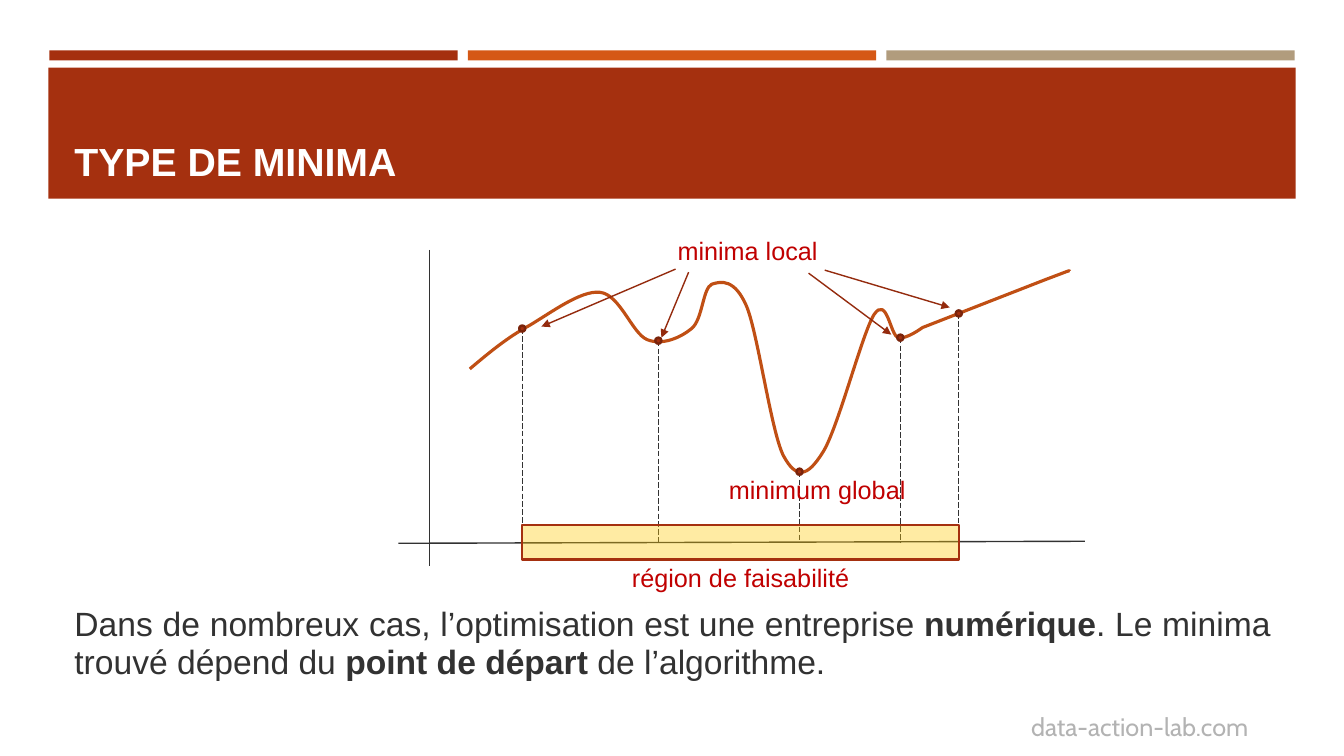
from lxml import etree
from pptx import Presentation
from pptx.dml.color import RGBColor
from pptx.enum.dml import MSO_LINE
from pptx.enum.shapes import MSO_CONNECTOR, MSO_SHAPE
from pptx.enum.text import MSO_ANCHOR, PP_ALIGN
from pptx.oxml.ns import qn
from pptx.util import Inches, Pt

RECTANGLE, OVAL = MSO_SHAPE.RECTANGLE, MSO_SHAPE.OVAL
STRAIGHT, LONG_DASH = MSO_CONNECTOR.STRAIGHT, MSO_LINE.LONG_DASH
TOP, BOTTOM = MSO_ANCHOR.TOP, MSO_ANCHOR.BOTTOM
LEFT, CENTER, RIGHT, JUSTIFY = PP_ALIGN.LEFT, PP_ALIGN.CENTER, PP_ALIGN.RIGHT, PP_ALIGN.JUSTIFY

RUST, DARK_RUST, ARROW_RUST, CURVE_ORANGE = "A5300F", "7A240B", "942B0E", "C04F14"
INK, RED, GOLD, WHITE, GREY = "323232", "C00000", "FFCA08", "FFFFFF", "B3B3B3"

BAR_COLORS = [RUST, "D55816", "B19C7D"]
BAR_LEFT, BAR_WIDTH, BAR_GAP = 0.49, 4.05, 0.1
TITLE = [("TYPE DE MINIMA", True)]
FOOTER = [("data-action-lab.com", False)]
BODY = [
    ("Dans de nombreux cas, l’optimisation est une entreprise ", False),
    ("numérique", True),
    (". Le minima trouvé dépend du ", False),
    ("point de départ", True),
    (" de l’algorithme.", False),
]
LABELS = [
    ("minima local", 5.61, 2.29),
    ("minimum global", 6.3, 4.66),
    ("région de faisabilité", 5.54, 5.53),
]
MINIMA = [(5.18, 3.26), (6.53, 3.38), (7.93, 4.68), (8.93, 3.35), (9.51, 3.11)]
ARROWS = [
    ((6.7, 2.67), (5.37, 3.24)),
    ((6.83, 2.7), (6.56, 3.35)),
    ((8.02, 2.71), (8.84, 3.32)),
    ((8.18, 2.68), (9.42, 3.05)),
]
AXES = [((4.26, 2.48), (4.26, 5.62)), ((10.76, 5.37), (3.95, 5.39))]
AXIS_Y, BAND_TOP, BAND_HEIGHT, DOT = 5.39, 5.21, 0.34, 0.06
CURVE_START = (4.66, 3.66)
CURVE = [
    [(4.85, 3.5), (5.03, 3.35), (5.25, 3.23)],
    [(5.47, 3.1), (5.76, 2.88), (5.95, 2.9)],
    [(6.15, 2.92), (6.27, 3.31), (6.42, 3.37)],
    [(6.57, 3.43), (6.75, 3.35), (6.86, 3.26)],
    [(6.97, 3.17), (6.97, 2.86), (7.06, 2.82)],
    [(7.15, 2.79), (7.29, 2.76), (7.41, 3.05)],
    [(7.52, 3.33), (7.65, 4.28), (7.77, 4.52)],
    [(7.9, 4.76), (8.01, 4.73), (8.16, 4.49)],
    [(8.31, 4.26), (8.55, 3.31), (8.67, 3.12)],
    [(8.8, 2.93), (8.83, 3.33), (8.91, 3.35)],
    [(8.99, 3.37), (9.15, 3.25), (9.15, 3.25)],
    [(9.15, 3.25), (10.38, 2.77), (10.38, 2.77)],
    [(10.62, 2.68), (10.61, 2.68), (10.61, 2.69)],
]

deck = Presentation()
deck.slide_width, deck.slide_height = Inches(13.33), Inches(7.5)
page = deck.slides.add_slide(deck.slide_layouts[6])


def color(value):
    return RGBColor.from_string(value)


def set_line(shape, value, width):
    shape.line.color.rgb = color(value)
    shape.line.width = Pt(width)


def add_block(kind, left, top, width, height, fill, line=None):
    block = page.shapes.add_shape(kind, *map(Inches, (left, top, width, height)))
    block.shadow.inherit = False
    block.fill.solid()
    block.fill.fore_color.rgb = color(fill)
    if line:
        set_line(block, line, 1.75)
    else:
        block.line.fill.background()
    return block


def add_line(start, end, value, width, dash=None, arrow=False):
    line = page.shapes.add_connector(STRAIGHT, *map(Inches, (*start, *end)))
    set_line(line, value, width)
    if dash:
        line.line.dash_style = dash
    if arrow:
        etree.SubElement(line.line._get_or_add_ln(), qn("a:tailEnd"), type="triangle")
    etree.SubElement(line._element.spPr, qn("a:effectLst"))


def add_text(pieces, left, top, width, height, size, value, align, anchor=TOP, font="Arial"):
    box = page.shapes.add_textbox(*map(Inches, (left, top, width, height)))
    frame = box.text_frame
    frame.word_wrap = True
    frame.vertical_anchor = anchor
    para = frame.paragraphs[0]
    para.alignment = align
    for text, bold in pieces:
        span = para.add_run()
        span.text = text
        span.font.name, span.font.size, span.font.bold = font, Pt(size), bold
        span.font.color.rgb = color(value)
    return para


def add_curve():
    builder = page.shapes.build_freeform(*map(Inches, CURVE_START), scale=1.0)
    points = [point for segment in CURVE for point in segment]
    builder.add_line_segments([(Inches(x), Inches(y)) for x, y in points], close=False)
    curve = builder.convert_to_shape()
    curve.shadow.inherit = False
    curve.fill.background()
    set_line(curve, CURVE_ORANGE, 2.25)
    steps = list(curve._element.iter(qn("a:lnTo")))
    outline = steps[0].getparent()
    for first in range(0, len(steps), 3):
        bend = etree.SubElement(outline, qn("a:cubicBezTo"))
        for step in steps[first:first + 3]:
            bend.append(step[0])
            outline.remove(step)


for column, fill in enumerate(BAR_COLORS):
    add_block(RECTANGLE, BAR_LEFT + column * (BAR_WIDTH + BAR_GAP), 0.5, BAR_WIDTH, 0.1, fill)
add_text(FOOTER, 9.88, 7.01, 2.6, 0.4, 18, GREY, RIGHT, font="Cabin")
add_block(RECTANGLE, 0.48, 0.67, 12.37, 1.3, RUST)
add_text(TITLE, 0.64, 0.77, 12.06, 1.11, 28, WHITE, LEFT, BOTTOM)
body = add_text(BODY, 0.64, 6, 12.06, 0.82, 24, INK, JUSTIFY, BOTTOM)
body.line_spacing = 0.95

add_curve()
for start, end in AXES:
    add_line(start, end, INK, 1)
for x, y in MINIMA:
    add_line((x, y), (x, AXIS_Y), INK, 0.5, dash=LONG_DASH)

band_left, band_right = MINIMA[0][0], MINIMA[-1][0]
band = add_block(RECTANGLE, band_left, BAND_TOP, band_right - band_left, BAND_HEIGHT, GOLD, RUST)
band_color = band._element.spPr.find(qn("a:solidFill"))[0]
etree.SubElement(band_color, qn("a:alpha"), val="37000")

for x, y in MINIMA:
    add_block(OVAL, x - DOT / 2, y - DOT / 2, DOT, DOT, RUST, DARK_RUST)
for text, left, top in LABELS:
    add_text([(text, False)], left, top, 3.61, 0.4, 18, RED, CENTER)
for start, end in ARROWS:
    add_line(start, end, ARROW_RUST, 1, arrow=True)

deck.save("out.pptx")
